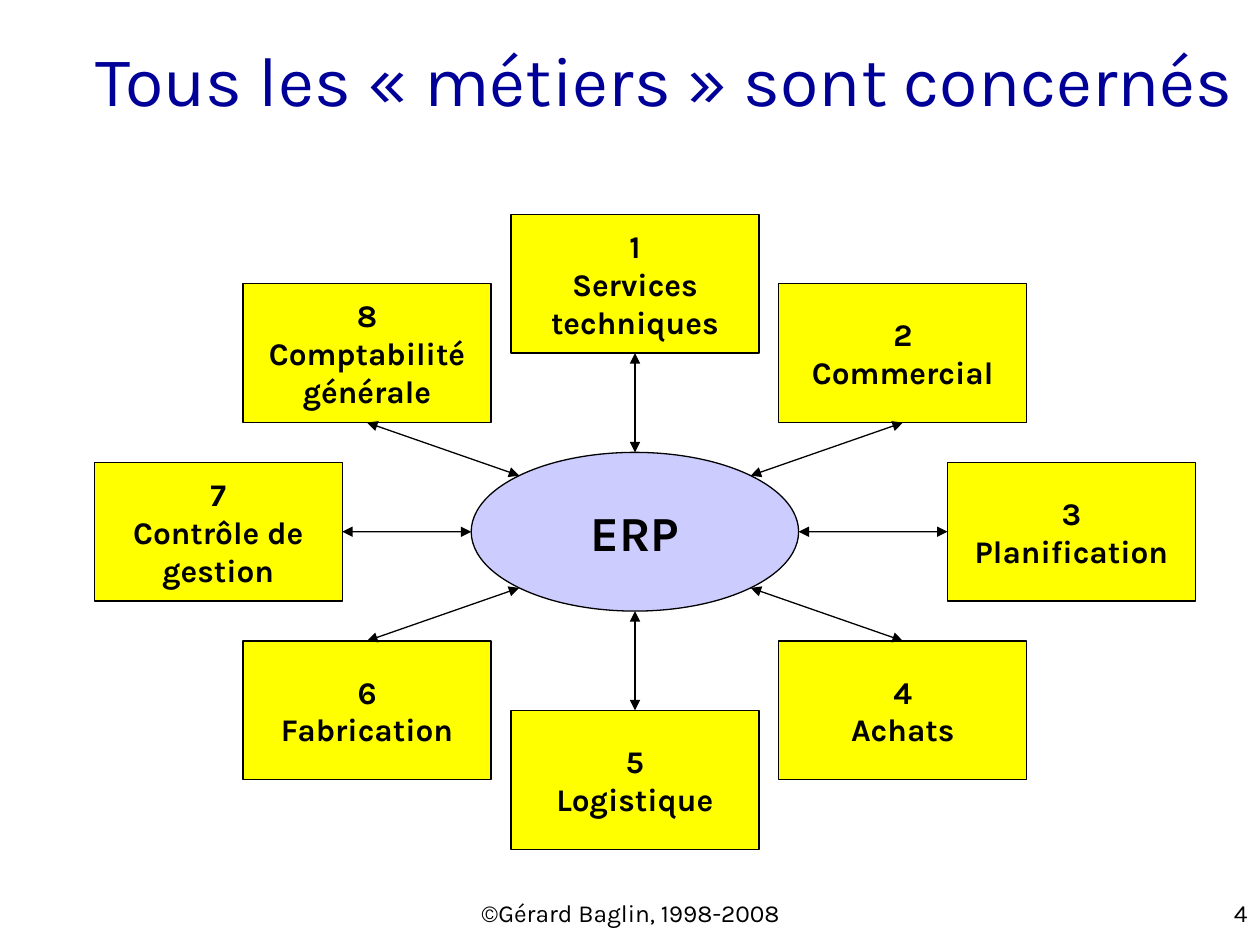
import math

import lxml.etree
import pptx
import pptx.dml.color
import pptx.enum.shapes
import pptx.enum.text
import pptx.oxml.ns
import pptx.util

Cm = pptx.util.Cm
Pt = pptx.util.Pt
Align = pptx.enum.text.PP_ALIGN
Anchor = pptx.enum.text.MSO_ANCHOR
Kind = pptx.enum.shapes.MSO_SHAPE
qn = pptx.oxml.ns.qn

FONT = "Karla"
BLACK, NAVY, YELLOW, LILAC = "000000", "000099", "FFFF00", "CCCCFF"
BOX_W, BOX_H = 5, 2.8
HUB_W, HUB_H = 6.6, 3.2

# name, horizontal and vertical offset from the hub, side that faces it
TRADES = [
    ("Services techniques", 0, -5, 2),
    ("Commercial", 5.4, -3.6, 2),
    ("Planification", 8.8, 0, 1),
    ("Achats", 5.4, 3.6, 0),
    ("Logistique", 0, 5, 0),
    ("Fabrication", -5.4, 3.6, 0),
    ("Contrôle de gestion", -8.4, 0, 3),
    ("Comptabilité générale", -5.4, -3.6, 2),
]


def color(code):
    """Turn a hex string into a colour."""
    return pptx.dml.color.RGBColor.from_string(code)


def write(shape, lines, size, tint=BLACK, bold=False, align=Align.CENTER,
          anchor=Anchor.MIDDLE, wrap=True):
    """Write lines into one paragraph of a shape."""
    frame = shape.text_frame
    frame.word_wrap = wrap
    frame.vertical_anchor = anchor
    para = frame.paragraphs[0]
    para.alignment = align
    for i, line in enumerate(lines):
        if i:
            para.add_line_break()
        run = para.add_run()
        run.text = line
        run.font.name = FONT
        run.font.size = Pt(size)
        run.font.bold = bold
        run.font.color.rgb = color(tint)


def label(slide, box, text, size, **style):
    """Add a text box."""
    shape = slide.shapes.add_textbox(*map(Cm, box))
    write(shape, [text], size, **style)


def node(slide, kind, mid, size, fill):
    """Add an outlined shape centred on a point."""
    (x, y), (w, h) = mid, size
    shape = slide.shapes.add_shape(
        kind, Cm(x - w / 2), Cm(y - h / 2), Cm(w), Cm(h))
    shape.shadow.inherit = False
    shape.fill.solid()
    shape.fill.fore_color.rgb = color(fill)
    shape.line.color.rgb = color(BLACK)
    shape.line.width = Pt(0.75)
    return shape


def arrow(slide, start, box, side):
    """Link a point to a side of a box with a two-way arrow."""
    x, y = map(Cm, start)
    link = slide.shapes.add_connector(
        pptx.enum.shapes.MSO_CONNECTOR.STRAIGHT, x, y, x, y)
    link.end_connect(box, side)
    link.line.color.rgb = color(BLACK)
    link.line.width = Pt(0.75)
    line = link.line._get_or_add_ln()
    for tag in ("a:headEnd", "a:tailEnd"):
        lxml.etree.SubElement(line, qn(tag), type="triangle")
    lxml.etree.SubElement(link._element.spPr, qn("a:effectLst"))


def wheel(slide, box):
    """Draw the hub and the trades around the middle of a box."""
    left, top, width, height = box
    x, y = left + width / 2, top + height / 2
    hub = node(slide, Kind.OVAL, (x, y), (HUB_W, HUB_H), LILAC)
    write(hub, ["ERP"], 28, bold=True, wrap=False)
    for i, (name, dx, dy, side) in enumerate(TRADES):
        trade = node(slide, Kind.RECTANGLE, (x + dx, y + dy),
                     (BOX_W, BOX_H), YELLOW)
        write(trade, [str(i + 1), name], 18, bold=True)
        turn = i * math.tau / len(TRADES)
        rim = (x + HUB_W / 2 * math.sin(turn), y - HUB_H / 2 * math.cos(turn))
        arrow(slide, rim, trade, side)


def footer(slide, box):
    """Place the credit and the page number in a box."""
    left, top, width, height = box
    label(slide, (left + 8.69, top, 8.05, height),
          "©Gérard Baglin, 1998-2008", 14, anchor=Anchor.TOP)
    label(slide, (left + width - 5.28, top, 5.28, height), "4", 14,
          align=Align.RIGHT, anchor=Anchor.TOP)


def main():
    """Build and save the slide."""
    deck = pptx.Presentation()
    deck.slide_width, deck.slide_height = Cm(25.4), Cm(19.05)
    slide = deck.slides.add_slide(deck.slide_layouts[6])
    label(slide, (0, 0, 25.1, 3.18), "Tous les «\u00a0métiers\u00a0» sont concernés", 40,
          tint=NAVY, align=Align.RIGHT)
    wheel(slide, (1.5, 4.32, 22.6, 12.8))
    footer(slide, (0, 17.98, 25.4, 0.64))
    deck.save("out.pptx")


if __name__ == "__main__":
    main()
